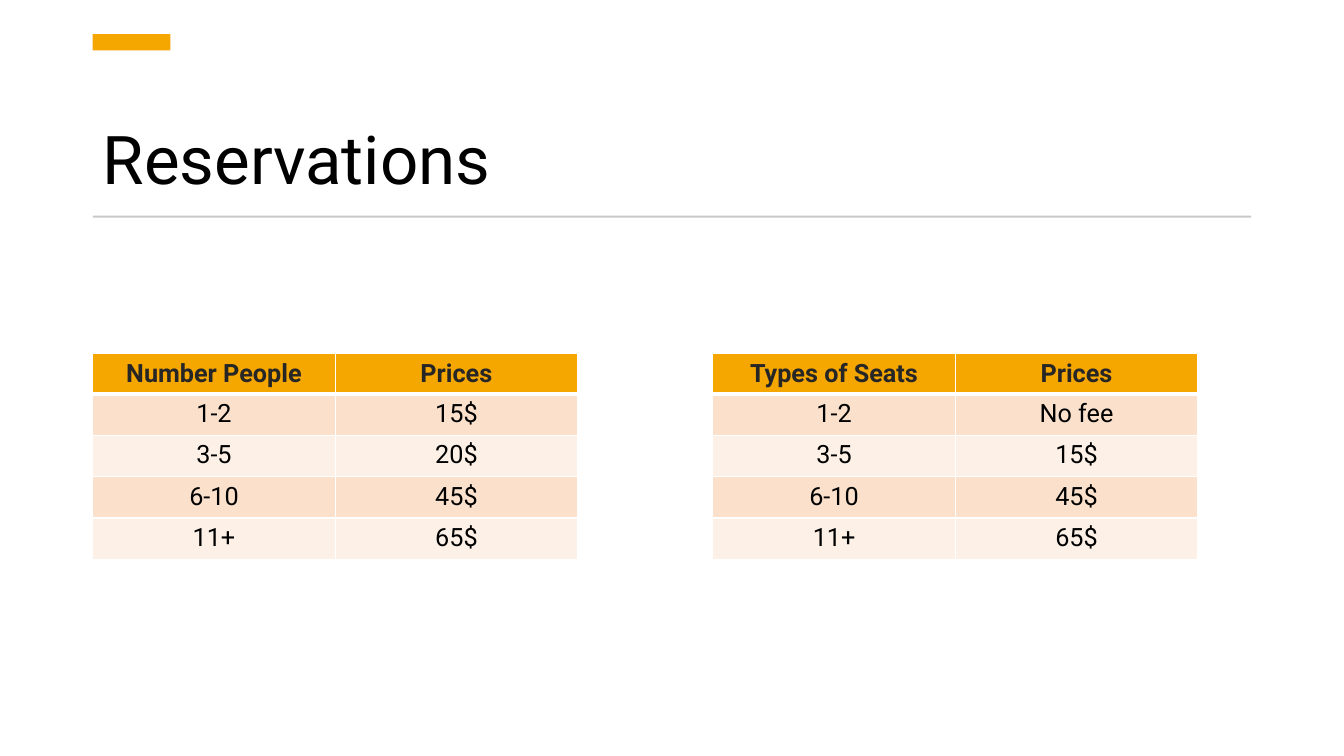
from dataclasses import dataclass

from lxml import etree
from pptx import Presentation
from pptx.dml.color import RGBColor
from pptx.enum.shapes import MSO_SHAPE
from pptx.enum.text import MSO_ANCHOR, PP_ALIGN
from pptx.oxml.ns import qn
from pptx.util import Inches, Pt

RECTANGLE = MSO_SHAPE.RECTANGLE
BOTTOM = MSO_ANCHOR.BOTTOM
CENTER = PP_ALIGN.CENTER


@dataclass(frozen=True)
class Theme:
    font: str = "Roboto"
    title_size: int = 48
    table_size: int = 18
    text: str = "000000"
    header_text: str = "262626"
    accent: str = "F5A700"
    rule: str = "C9C9C9"
    border: str = "FFFFFF"
    bands: tuple[str, str] = ("FBE1CC", "FDF1E7")


@dataclass(frozen=True)
class Bar:
    top: float
    width: float
    height: float
    color: str


@dataclass(frozen=True)
class PriceTable:
    left: float
    rows: tuple[tuple[str, str], ...]


THEME = Theme()
MARGIN = 0.92
CONTENT_WIDTH = 11.49
TABLE_TOP = 3.51
COLUMN_WIDTH = 2.405
HEADER_HEIGHT = 0.39
ROW_HEIGHT = 0.41

BARS = (
    Bar(0.34, 0.77, 0.16, THEME.accent),
    Bar(2.14, CONTENT_WIDTH, 0.02, THEME.rule),
)
TABLES = (
    PriceTable(MARGIN, (
        ("Number People", "Prices"),
        ("1-2", "15$"),
        ("3-5", "20$"),
        ("6-10", "45$"),
        ("11+", "65$"),
    )),
    PriceTable(7.07, (
        ("Types of Seats", "Prices"),
        ("1-2", "No fee"),
        ("3-5", "15$"),
        ("6-10", "45$"),
        ("11+", "65$"),
    )),
)


def style_font(font, size: int, color: str, bold: bool = False) -> None:
    font.name = THEME.font
    font.size = Pt(size)
    font.bold = bold
    font.color.rgb = RGBColor.from_string(color)


def add_title(page, text: str) -> None:
    box = page.shapes.add_textbox(
        Inches(MARGIN), Inches(0.75), Inches(CONTENT_WIDTH), Inches(1.27))
    frame = box.text_frame
    frame.word_wrap = True
    frame.vertical_anchor = BOTTOM
    para = frame.paragraphs[0]
    para.text = text
    para.line_spacing = 0.9
    style_font(para.font, THEME.title_size, THEME.text)


def add_bar(page, bar: Bar) -> None:
    shape = page.shapes.add_shape(
        RECTANGLE, Inches(MARGIN), Inches(bar.top),
        Inches(bar.width), Inches(bar.height))
    shape.shadow.inherit = False
    shape.fill.solid()
    shape.fill.fore_color.rgb = RGBColor.from_string(bar.color)
    shape.line.fill.background()


def add_borders(cell, top: float, bottom: float) -> None:
    properties = cell._tc.get_or_add_tcPr()
    sides = (("a:lnL", 1), ("a:lnR", 1), ("a:lnT", top), ("a:lnB", bottom))
    for tag, points in sides:
        line = etree.SubElement(properties, qn(tag), w=str(Pt(points)))
        fill = etree.SubElement(line, qn("a:solidFill"))
        etree.SubElement(fill, qn("a:srgbClr"), val=THEME.border)


def fill_cell(cell, text: str, row_index: int) -> None:
    is_header = row_index == 0
    # Borders go before the fill in the cell properties
    add_borders(cell, 3 if row_index == 1 else 1, 3 if is_header else 1)
    color = THEME.accent if is_header else THEME.bands[(row_index - 1) % 2]
    cell.fill.solid()
    cell.fill.fore_color.rgb = RGBColor.from_string(color)
    para = cell.text_frame.paragraphs[0]
    para.text = text
    para.alignment = CENTER
    style_font(para.font, THEME.table_size,
               THEME.header_text if is_header else THEME.text, is_header)


def add_price_table(page, prices: PriceTable) -> None:
    row_count, column_count = len(prices.rows), len(prices.rows[0])
    table = page.shapes.add_table(
        row_count, column_count, Inches(prices.left), Inches(TABLE_TOP),
        Inches(column_count * COLUMN_WIDTH),
        Inches(HEADER_HEIGHT + (row_count - 1) * ROW_HEIGHT)).table
    for column in table.columns:
        column.width = Inches(COLUMN_WIDTH)
    for row_index, texts in enumerate(prices.rows):
        height = ROW_HEIGHT if row_index else HEADER_HEIGHT
        table.rows[row_index].height = Inches(height)
        for column_index, text in enumerate(texts):
            fill_cell(table.cell(row_index, column_index), text, row_index)


def main() -> None:
    deck = Presentation()
    deck.slide_width, deck.slide_height = Inches(13.33), Inches(7.5)
    page = deck.slides.add_slide(deck.slide_layouts[6])

    # Heading with accent bar and rule
    add_title(page, "Reservations")
    for bar in BARS:
        add_bar(page, bar)

    # Price tables
    for prices in TABLES:
        add_price_table(page, prices)

    deck.save("out.pptx")


if __name__ == "__main__":
    main()
